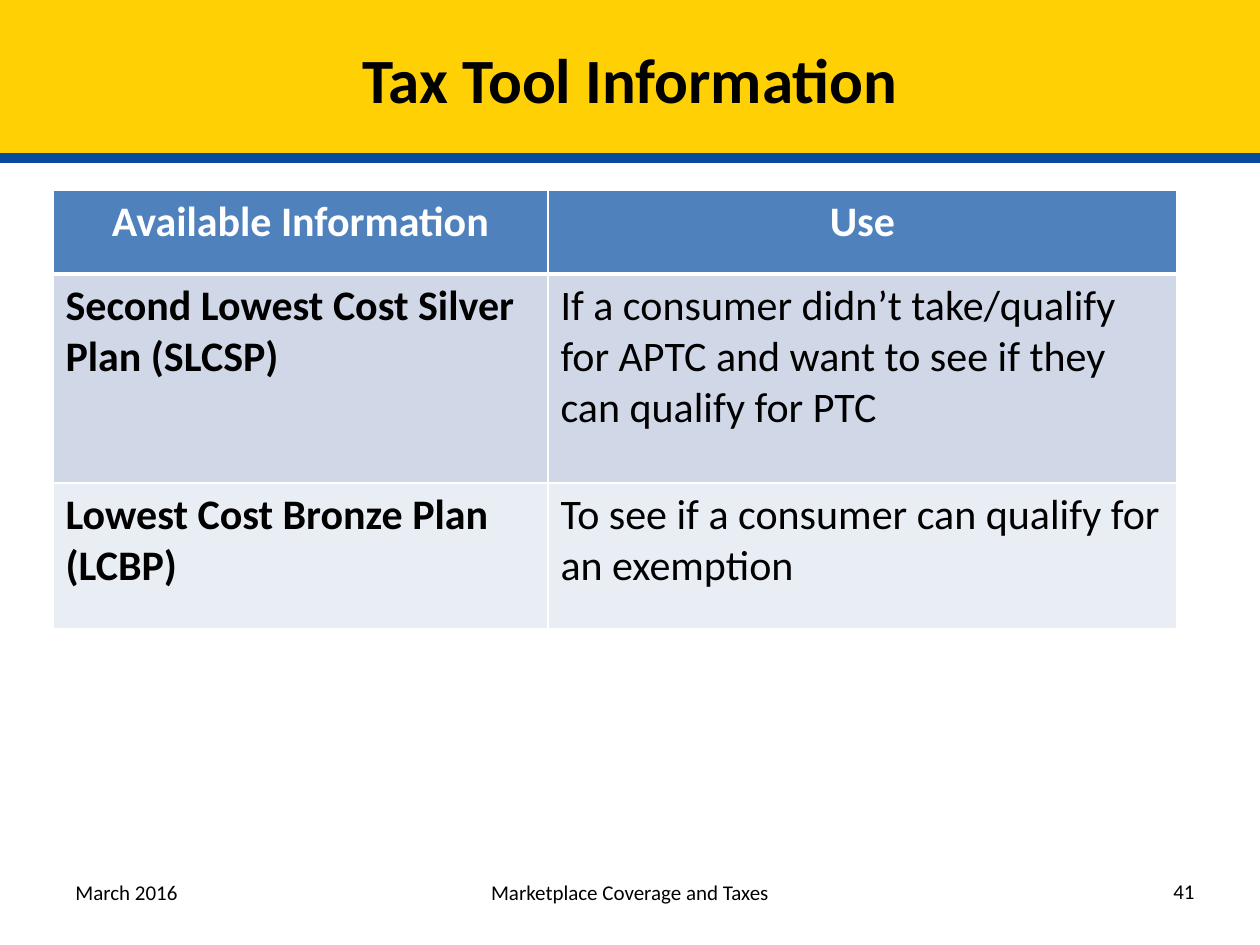
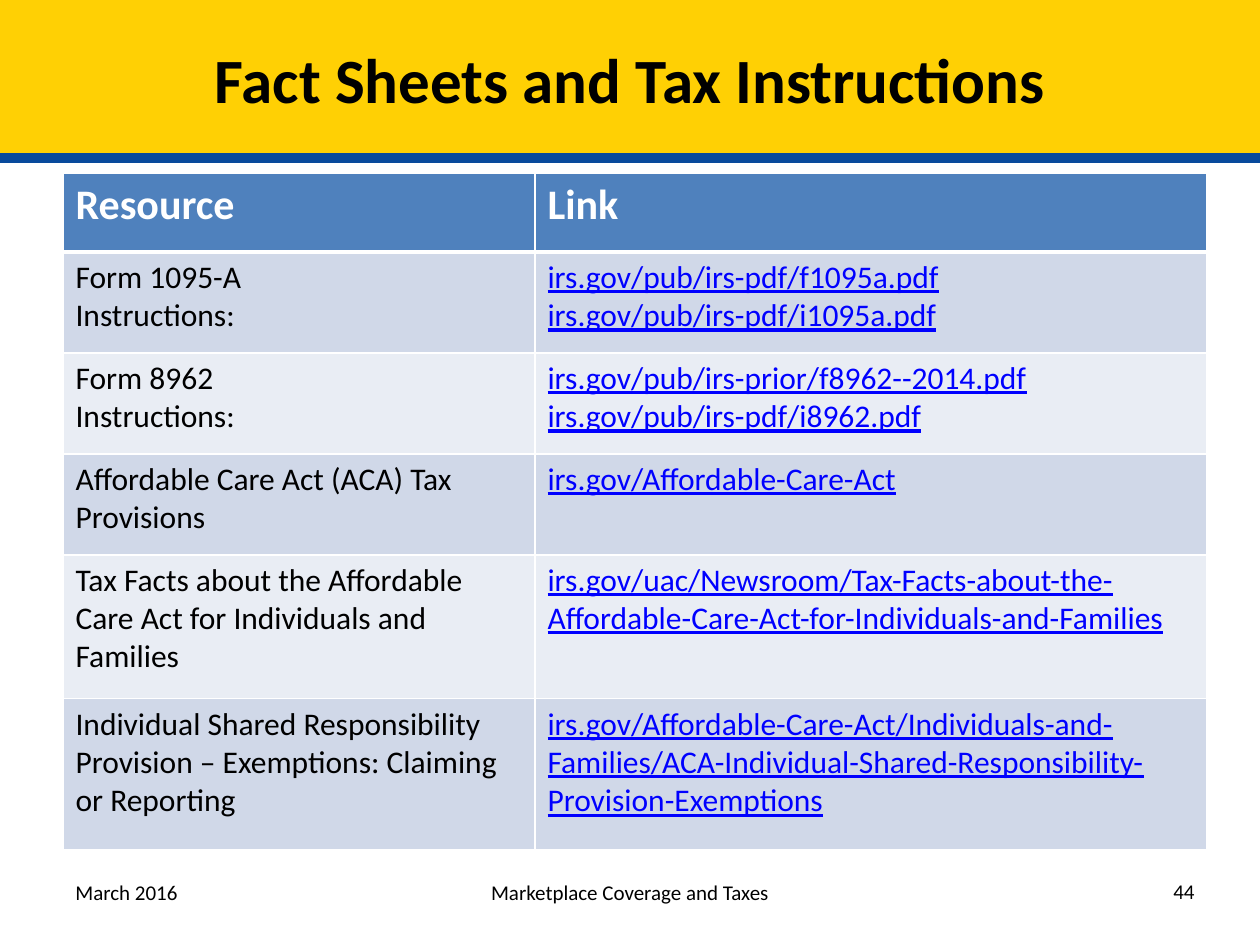
from lxml import etree
from pptx import Presentation, util as u
from pptx.dml.color import RGBColor
from pptx.enum import shapes, text
from pptx.oxml import ns

PX = 914400 // 126
WIDE, HIGH = 1260, 945
FONT = "Calibri"
BLACK, WHITE, LINK = "000000", "FFFFFF", "0000FF"
HEAD, ROWS = "4F81BD", ("D0D8E8", "E9EDF4")
LEFT, MID, RIGHT = text.PP_ALIGN.LEFT, text.PP_ALIGN.CENTER, text.PP_ALIGN.RIGHT

BANDS = [("084A9C", 153, 10), ("FFD004", -4, 157)]  # colour, top, height

FOOT = [  # text (None: page number), box, alignment
    ("Marketplace Coverage and Taxes", (357, 873, 546, 50), MID),
    ("March 2016", (63, 873, 294, 50), LEFT),
    (None, (1071, 872, 136, 50), RIGHT),
]

# Each cell is a list of paragraphs.
SLIDES = [
    dict(
        title="Tax Tool Information", page=41, at=(53, 190),
        cols=(495, 629), rows=(84, 209, 146),
        align=MID, size=24, looks=(dict(bold=True), {}),
        cells=[
            (["Available Information"], ["Use"]),
            (["Second Lowest Cost Silver Plan (SLCSP)"],
             ["If a consumer didn’t take/qualify for APTC and want to see "
              "if they can qualify for PTC"]),
            (["Lowest Cost Bronze Plan (LCBP)"],
             ["To see if a consumer can qualify for an exemption"]),
        ],
    ),
    dict(
        title="Fact Sheets and Tax Instructions", page=44, at=(63, 173),
        cols=(472, 672), rows=(79, 101, 101, 101, 144, 151),
        align=LEFT, size=18, looks=({}, dict(color=LINK, line=True)),
        cells=[
            (["Resource"], ["Link"]),
            (["Form 1095-A", "Instructions:"],
             ["irs.gov/pub/irs-pdf/f1095a.pdf",
              "irs.gov/pub/irs-pdf/i1095a.pdf"]),
            (["Form 8962", "Instructions:"],
             ["irs.gov/pub/irs-prior/f8962--2014.pdf",
              "irs.gov/pub/irs-pdf/i8962.pdf"]),
            (["Affordable Care Act (ACA) Tax Provisions"],
             ["irs.gov/Affordable-Care-Act"]),
            (["Tax Facts about the Affordable Care Act for Individuals "
              "and Families"],
             ["irs.gov/uac/Newsroom/Tax-Facts-about-the-"
              "Affordable-Care-Act-for-Individuals-and-Families"]),
            (["Individual Shared Responsibility Provision – Exemptions: "
              "Claiming or Reporting"],
             ["irs.gov/Affordable-Care-Act/Individuals-and-Families/"
              "ACA-Individual-Shared-Responsibility-Provision-Exemptions"]),
        ],
    ),
]


def px(*nums):
    return [n * PX for n in nums]


def paint(fill, color):
    fill.solid()
    fill.fore_color.rgb = RGBColor.from_string(color)


def write(frame, lines, size, color=BLACK, bold=False, line=False, align=LEFT):
    frame.word_wrap = True
    for i, words in enumerate(lines):
        para = frame.add_paragraph() if i else frame.paragraphs[0]
        para.alignment = align
        run = para.add_run()
        run.text = words
        font = run.font
        font.name, font.size = FONT, u.Pt(size)
        font.bold, font.underline = bold, line
        font.color.rgb = RGBColor.from_string(color)


def edge(cell, base):
    """Draw white borders; base is the width of the bottom one in points."""
    props = cell._tc.get_or_add_tcPr()
    for i, (tag, wide) in enumerate(
            (("lnL", 1), ("lnR", 1), ("lnT", 1), ("lnB", base))):
        line = etree.Element(ns.qn("a:" + tag), w=str(u.Pt(wide)))
        fill = etree.SubElement(line, ns.qn("a:solidFill"))
        etree.SubElement(fill, ns.qn("a:srgbClr"), val=WHITE)
        props.insert(i, line)


def add_bands(slide):
    """Build the title bands and move them to the layout that slides share."""
    tree = slide.slide_layout.shapes.element
    for i, (color, top, high) in enumerate(BANDS):
        band = slide.shapes.add_shape(
            shapes.MSO_SHAPE.RECTANGLE, *px(0, top, WIDE, high))
        band.shadow.inherit = False
        paint(band.fill, color)
        band.line.fill.background()
        tree.insert(2 + i, band.element)


def add_title(slide, words):
    title = slide.shapes.title
    title.left, title.top, title.width, title.height = px(0, 0, WIDE, 157)
    title.text_frame.vertical_anchor = text.MSO_ANCHOR.MIDDLE
    write(title.text_frame, [words], 36, bold=True, align=MID)


def add_grid(slide, data):
    cols, rows = data["cols"], data["rows"]
    grid = slide.shapes.add_table(
        len(rows), len(cols), *px(*data["at"], sum(cols), sum(rows))).table
    for col, wide in zip(grid.columns, px(*cols)):
        col.width = wide
    for row, high in zip(grid.rows, px(*rows)):
        row.height = high
    for r, line in enumerate(data["cells"]):
        for c, lines in enumerate(line):
            cell = grid.cell(r, c)
            if r:
                paint(cell.fill, ROWS[(r - 1) % 2])
                write(cell.text_frame, lines, data["size"], **data["looks"][c])
            else:
                paint(cell.fill, HEAD)
                write(cell.text_frame, lines, 24, WHITE, True,
                      align=data["align"])
            edge(cell, 1 if r else 3)


def add_foot(slide, page):
    for words, box, align in FOOT:
        note = slide.shapes.add_textbox(*px(*box))
        write(note.text_frame, [words or str(page)], 12, align=align)


def main():
    deck = Presentation()
    deck.slide_width, deck.slide_height = u.Inches(10), u.Inches(7.5)
    for i, data in enumerate(SLIDES):
        slide = deck.slides.add_slide(deck.slide_layouts[5])
        if i == 0:
            add_bands(slide)
        add_title(slide, data["title"])
        add_grid(slide, data)
        add_foot(slide, data["page"])
    deck.save("out.pptx")


if __name__ == "__main__":
    main()
